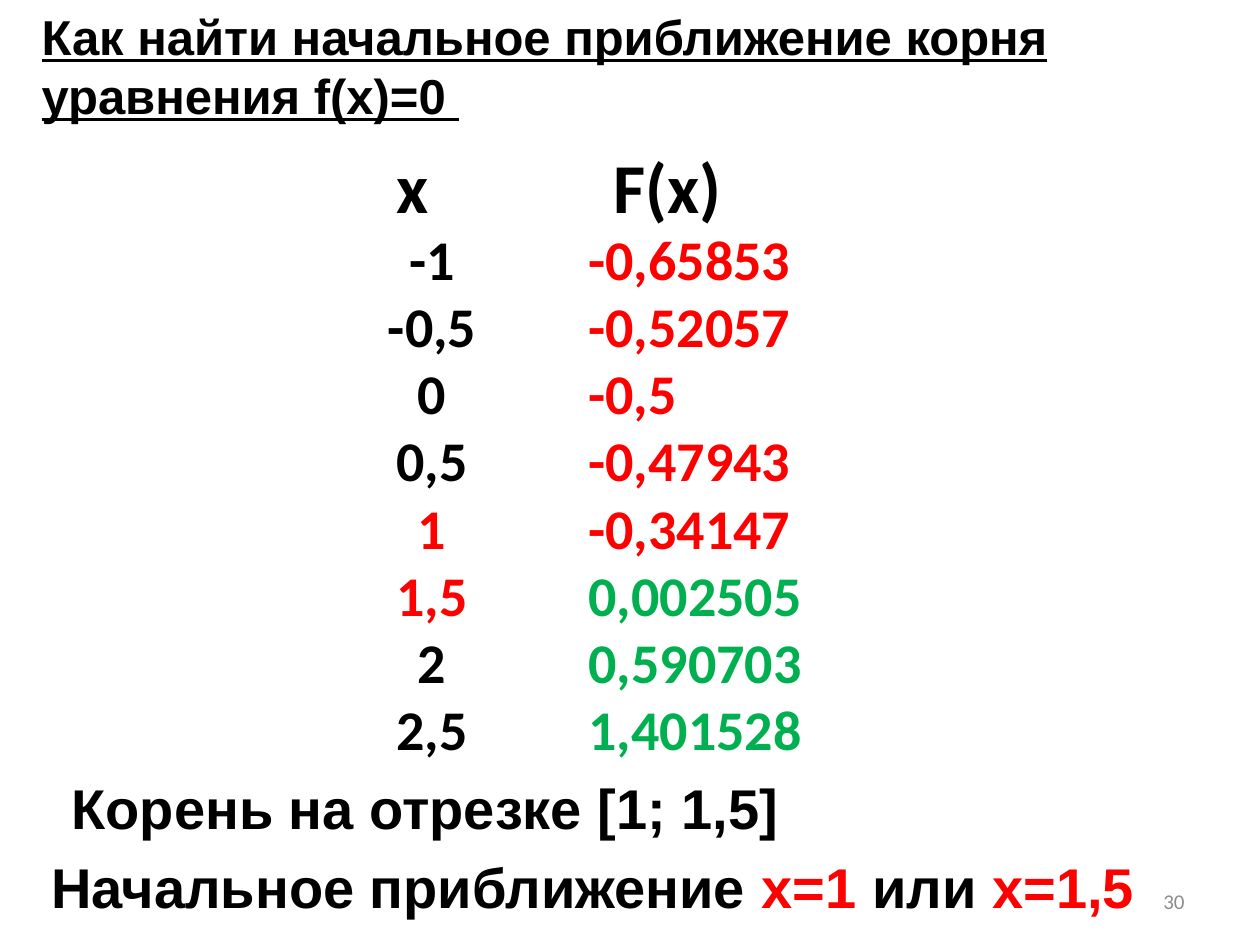
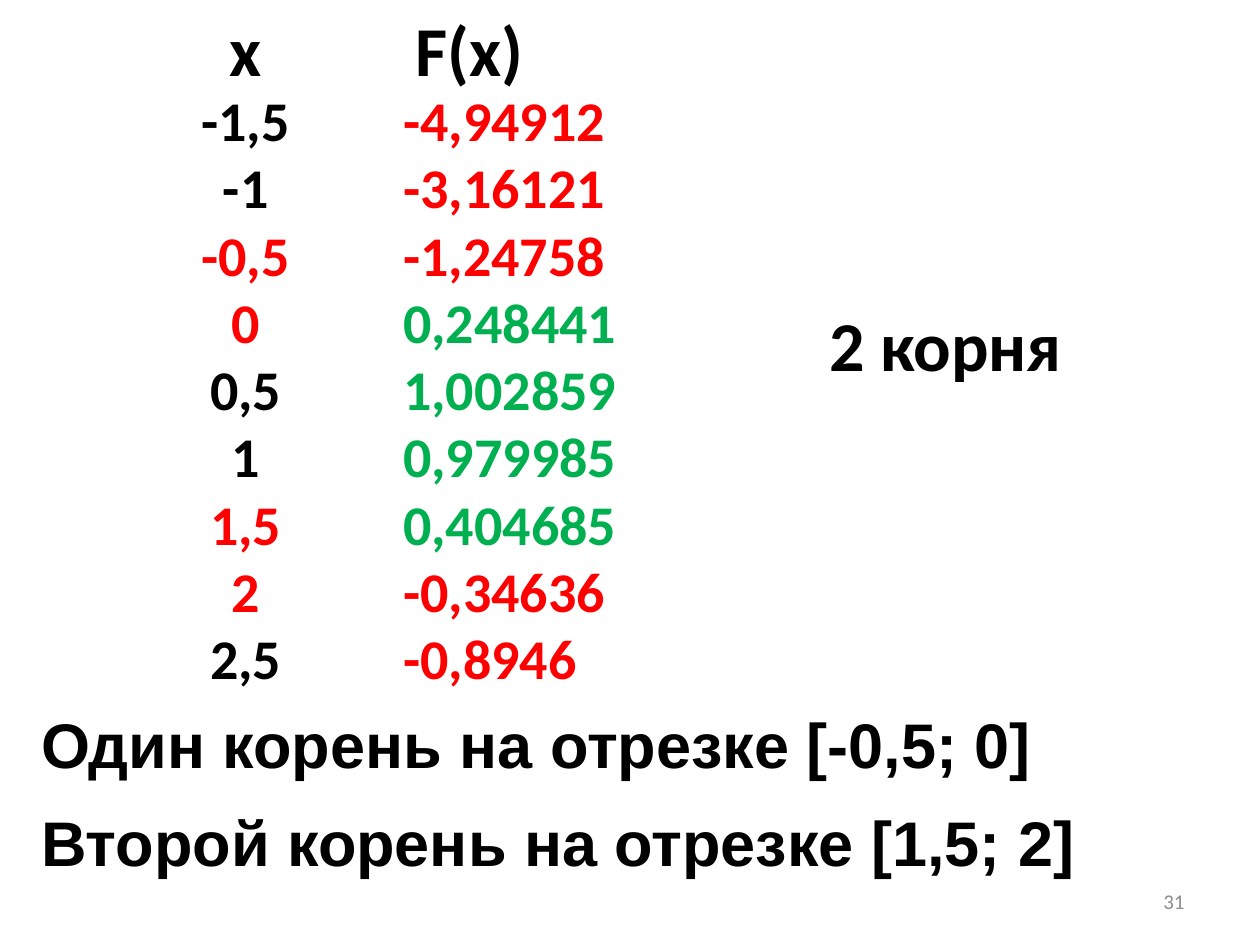
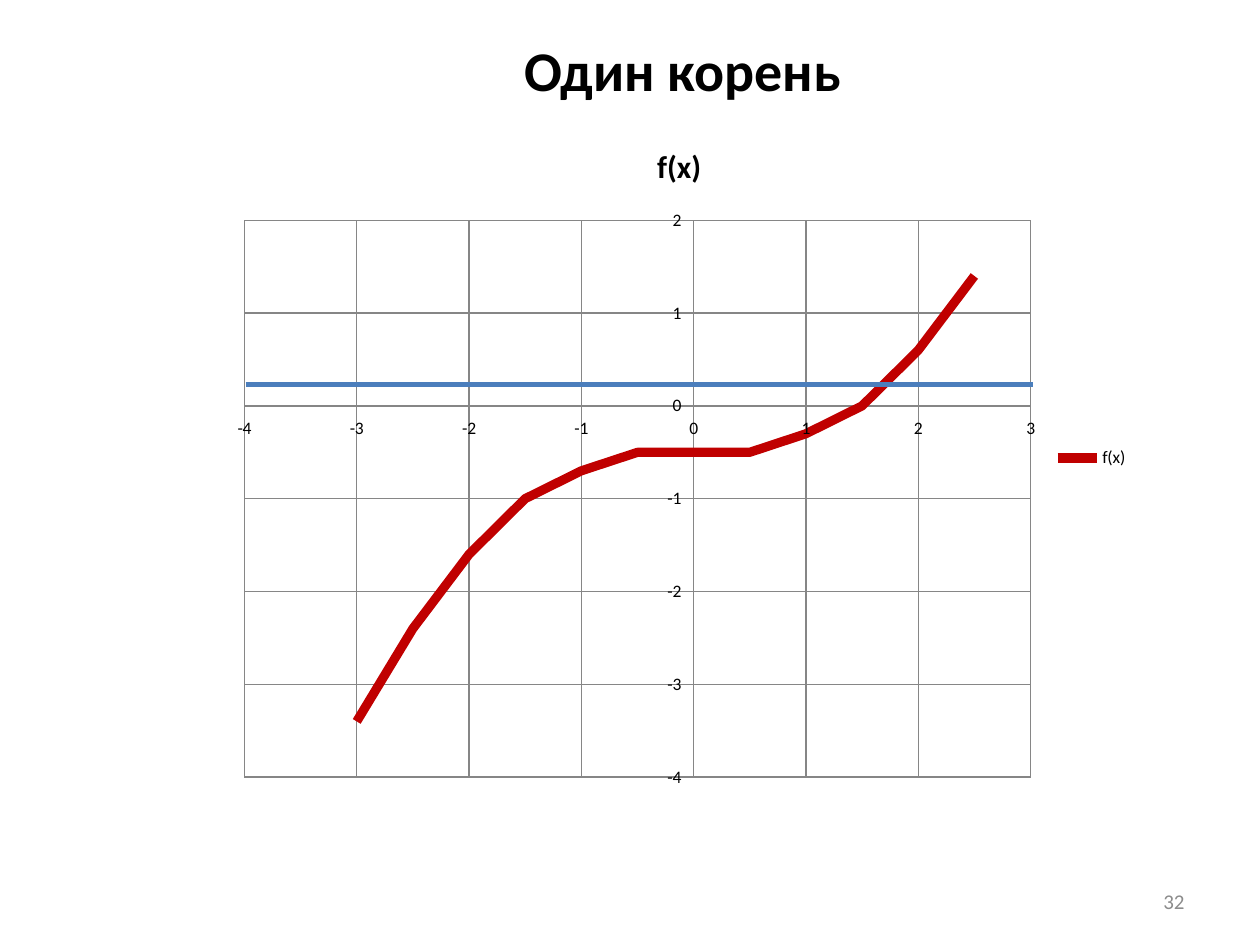
from lxml import etree
from pptx import Presentation
from pptx.chart.data import XyChartData
from pptx.dml.color import RGBColor
from pptx.enum.chart import XL_CHART_TYPE as ChartType, XL_LEGEND_POSITION as LegendPosition
from pptx.enum.chart import XL_TICK_MARK as TickMark
from pptx.enum.shapes import MSO_CONNECTOR as Connector
from pptx.enum.text import MSO_ANCHOR as Anchor, MSO_AUTO_SIZE as AutoSize, PP_ALIGN as Align
from pptx.oxml import parse_xml
from pptx.oxml.ns import nsdecls, qn
from pptx.util import Inches, Pt

# Shared style
COLORS = {"text": "000000", "negative": "FF0000", "positive": "00B050", "number": "8C8C8C",
          "curve": "C00000", "level": "4B7EBC", "grid": "868686"}
HEAD_FONT, BODY_FONT = "Arial", "Calibri"
FIRST_NUMBER = 30

# Content: texts are lists of (words, colour); boxes are left, top, width, height in inches
TABLE_PAGES = [
    {
        "title": ("Как найти начальное приближение корня уравнения f(x)=0 ",
                  (0.23, 0, 9.53, 1.04), HEAD_FONT, 28, True),
        "table": {"at": (2.19, 1.8), "columns": (2.48, 2.76), "height": 4.27},
        "heads": [("x", (3.05, 1.09, 0.63, 0.77)), ("F(x)", (4.77, 1.09, 1.95, 0.77))],
        "values": [("-1", "-0,65853"), ("-0,5", "-0,52057"), ("0", "-0,5"), ("0,5", "-0,47943"),
                   ("1", "-0,34147"), ("1,5", "0,002505"), ("2", "0,590703"), ("2,5", "1,401528")],
        "root_ends": {"1", "1,5"},
        "note_size": 32,
        "notes": [
            ([("Корень на отрезке [1; 1,5]", "text")], (0.47, 6.09, 9.14, 0.64)),
            ([("Начальное приближение ", "text"), ("x=1", "negative"), (" или ", "text"),
              ("x=1,5", "negative")], (0.31, 6.72, 9.14, 0.64)),
        ],
    },
    {
        "title": ("2 корня", (6.48, 2.34, 2.07, 0.77), BODY_FONT, 40, False),
        "table": {"at": (0.7, 0.7), "columns": (2.5, 2.5), "height": 4.8},
        "heads": [("x", (1.72, 0, 0.63, 0.77)), ("F(x)", (3.2, 0, 1.95, 0.77))],
        "values": [("-1,5", "-4,94912"), ("-1", "-3,16121"), ("-0,5", "-1,24758"),
                   ("0", "0,248441"), ("0,5", "1,002859"), ("1", "0,979985"),
                   ("1,5", "0,404685"), ("2", "-0,34636"), ("2,5", "-0,8946")],
        "root_ends": {"-0,5", "0", "1,5", "2"},
        "note_size": 36,
        "notes": [
            ([("Один корень на отрезке [-0,5; 0]", "text")], (0.23, 5.55, 9.14, 0.71)),
            ([("Второй корень на отрезке [1,5; 2]", "text")], (0.23, 6.33, 9.14, 0.71)),
        ],
    },
]
CHART_TITLE = ("Один корень", (4.06, 0.23, 2.75, 0.64), BODY_FONT, 32, False)
CHART_BOX = (1.72, 0.94, 7.34, 5.39)
PLOT_SHARES = {"x": 0.03, "y": 0.15, "w": 0.85, "h": 0.82}
CURVE_NAME, CURVE_START, CURVE_STEP = "f(x)", -3, 0.5
CURVE = [-3.4, -2.4, -1.6, -1, -0.7, -0.5, -0.5, -0.5, -0.3, 0, 0.6, 1.4]
LEVEL_LINE = (1.95, 3.05, 8.2, 3.05)


def inches(lengths):
    return [Inches(length) for length in lengths]


def color(name):
    return RGBColor.from_string(COLORS[name])


def style(font, name, size, tint="text", bold=True):
    font.name, font.size, font.bold = name, Pt(size), bold
    font.color.rgb = color(tint)


def add_text(page, spans, box, font, size):
    frame = page.shapes.add_textbox(*inches(box)).text_frame
    frame.word_wrap = True
    para = frame.paragraphs[0]
    style(para.font, font, size)
    for words, tint in spans:
        span = para.add_run()
        span.text = words
        span.font.color.rgb = color(tint)


def add_page(deck, title):
    """Add a page with its title and its slide number."""
    words, box, font, size, underline = title
    page = deck.slides.add_slide(deck.slide_layouts[5])
    shape = page.shapes.title
    shape.left, shape.top, shape.width, shape.height = inches(box)
    frame = shape.text_frame
    frame.text = words
    frame.word_wrap, frame.auto_size = underline, AutoSize.NONE
    frame.vertical_anchor = Anchor.TOP
    para = frame.paragraphs[0]
    para.alignment = Align.LEFT
    style(para.font, font, size)
    para.font.underline = underline

    frame = page.shapes.add_textbox(*inches((7.17, 6.95, 2.33, 0.4))).text_frame
    frame.word_wrap = True
    frame.vertical_anchor = Anchor.MIDDLE
    para = frame.paragraphs[0]
    para.alignment = Align.RIGHT
    number = FIRST_NUMBER + len(deck.slides) - 1
    para._p.append(parse_xml(
        f'<a:fld {nsdecls("a")} id="{{B19B0651-EE4F-4900-A07F-96A6BFA9D0F0}}" type="slidenum">'
        f'<a:rPr lang="ru-RU" sz="1200"><a:solidFill><a:srgbClr val="{COLORS["number"]}"/>'
        f'</a:solidFill><a:latin typeface="{BODY_FONT}"/></a:rPr><a:t>{number}</a:t></a:fld>'))
    return page


def add_values(page, place, values, root_ends):
    """Table of values: the sign gives the colour, root interval ends are red."""
    columns = place["columns"]
    box = (*place["at"], sum(columns), place["height"])
    table = page.shapes.add_table(len(values), len(columns), *inches(box)).table
    table.first_row = table.horz_banding = False
    for column, width in zip(table.columns, columns):
        column.width = Inches(width)
    for row, (x, y) in zip(table.rows, values):
        tints = ("negative" if x in root_ends else "text",
                 "negative" if y.startswith("-") else "positive")
        for cell, words, tint, align in zip(row.cells, (x, y), tints, (Align.CENTER, Align.LEFT)):
            cell.fill.background()
            cell.margin_left = cell.margin_right = cell.margin_top = cell.margin_bottom = 0
            cell.vertical_anchor = Anchor.BOTTOM
            cell.text = words
            para = cell.text_frame.paragraphs[0]
            para.alignment = align
            style(para.font, BODY_FONT, 32, tint)


def add_curve(page):
    data = XyChartData()
    series = data.add_series(CURVE_NAME)
    for index, y in enumerate(CURVE):
        series.add_data_point(CURVE_START + index * CURVE_STEP, y)
    chart = page.shapes.add_chart(ChartType.XY_SCATTER_SMOOTH_NO_MARKERS,
                                  *inches(CHART_BOX), data).chart
    style(chart.font, BODY_FONT, 10, bold=False)
    chart.has_title = True
    chart.chart_title.text_frame.text = CURVE_NAME
    style(chart.chart_title.text_frame.paragraphs[0].font, BODY_FONT, 18)
    chart.has_legend = True
    chart.legend.position = LegendPosition.RIGHT
    chart.legend.include_in_layout = False

    curve = chart.plots[0].series[0]
    curve.smooth = True
    curve.format.line.color.rgb = color("curve")
    curve.format.line.width = Pt(5.25)

    for axis, low, high in ((chart.category_axis, -4, 3), (chart.value_axis, -4, 2)):
        axis.minimum_scale, axis.maximum_scale, axis.major_unit = low, high, 1
        axis.has_major_gridlines = True
        axis.major_tick_mark = TickMark.CROSS
        axis.minor_tick_mark = TickMark.NONE
        axis.tick_labels.number_format = "General"
        axis.tick_labels.number_format_is_linked = False
        for line in (axis.format.line, axis.major_gridlines.format.line):
            line.color.rgb = color("grid")
            line.width = Pt(0.75)

    # Fixed place of the inner plot area
    plot_area = chart._chartSpace.chart.plotArea
    for old in plot_area.findall(qn("c:layout")):
        plot_area.remove(old)
    layout = etree.Element(qn("c:layout"))
    manual = etree.SubElement(layout, qn("c:manualLayout"))
    settings = {"layoutTarget": "inner", "xMode": "edge", "yMode": "edge", **PLOT_SHARES}
    for tag, value in settings.items():
        etree.SubElement(manual, qn(f"c:{tag}")).set("val", str(value))
    plot_area.insert(0, layout)


def add_level_line(page):
    line = page.shapes.add_connector(Connector.STRAIGHT, *inches(LEVEL_LINE))
    line.line.color.rgb = color("level")
    line.line.width = Pt(3)
    etree.SubElement(line._element.spPr, qn("a:effectLst"))


def main():
    deck = Presentation()
    deck.slide_width, deck.slide_height = Inches(10), Inches(7.5)
    deck.element.set("firstSlideNum", str(FIRST_NUMBER))

    for content in TABLE_PAGES:
        page = add_page(deck, content["title"])
        add_values(page, content["table"], content["values"], content["root_ends"])
        for words, box in content["heads"]:
            add_text(page, [(words, "text")], box, BODY_FONT, 40)
        for spans, box in content["notes"]:
            add_text(page, spans, box, HEAD_FONT, content["note_size"])

    page = add_page(deck, CHART_TITLE)
    add_curve(page)
    add_level_line(page)
    deck.save("out.pptx")


if __name__ == "__main__":
    main()
